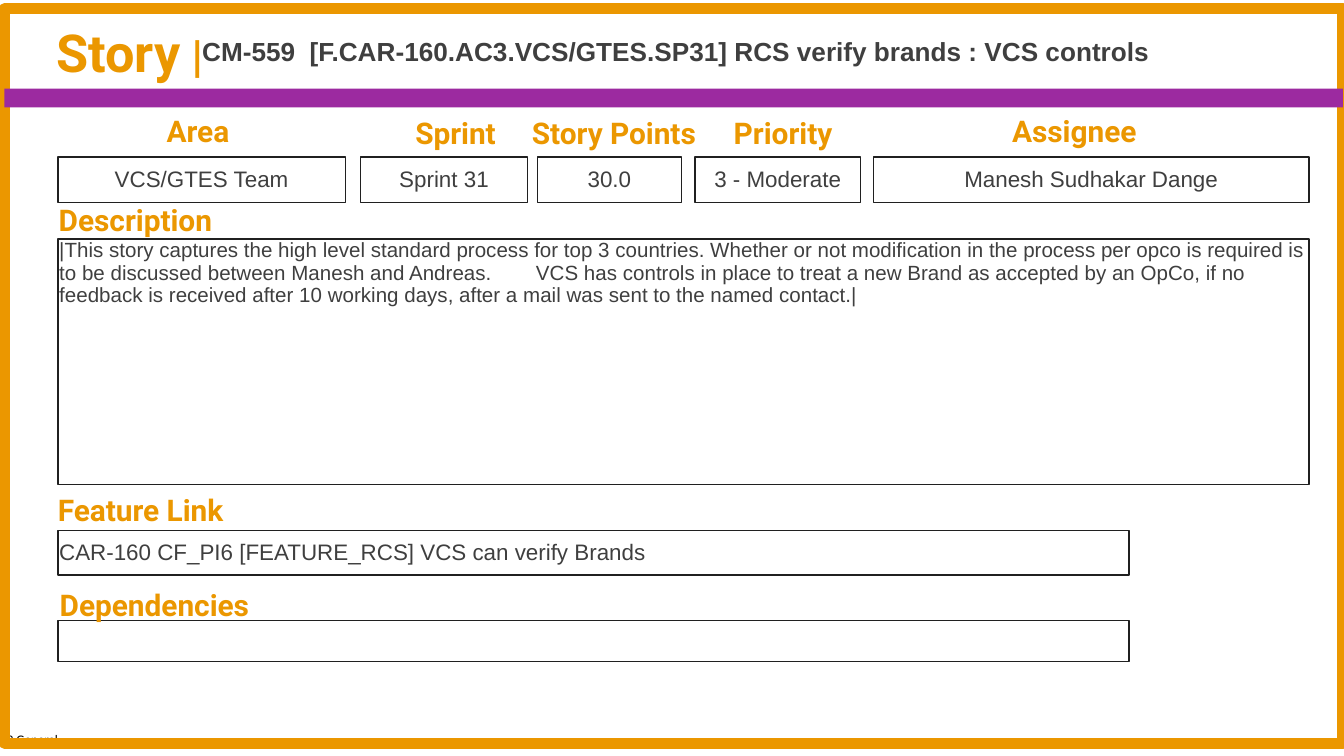
from typing import NamedTuple

from lxml.etree import SubElement
from pptx import Presentation
from pptx.dml.color import RGBColor
from pptx.enum.shapes import MSO_SHAPE
from pptx.enum.text import MSO_ANCHOR, MSO_AUTO_SIZE, PP_ALIGN
from pptx.oxml.ns import qn
from pptx.util import Pt

ORANGE, PURPLE, INK, BORDER = "EB9700", "9C2AA0", "3F3F3F", "202020"
LEFT = 31
FIELD_TOP, FIELD_H = 84.2, 24.5
LABEL_W, LABEL_H = 114, 11.5

HEADING = {"name": "Roboto", "size": Pt(16), "bold": True, "color": ORANGE}
BODY = {"name": "Arial", "size": Pt(12), "color": INK}


class Box(NamedTuple):
    left: float
    top: float
    width: float
    height: float


class Label(NamedTuple):
    text: str
    left: float
    top: float


class Field(NamedTuple):
    text: str
    box: Box
    align: PP_ALIGN = PP_ALIGN.CENTER
    anchor: MSO_ANCHOR = MSO_ANCHOR.MIDDLE
    size: float = 12
    tab: float = 0


LABELS = [
    Label("Area", 89.3, 60.5),
    Label("Sprint", 222.5, 61.2),
    Label("Story Points", 285, 61.2),
    Label("Priority", 393.1, 61.6),
    Label("Assignee", 542.2, 60.5),
    Label("Description", 31.5, 108),
    Label("Feature Link", LEFT, 263.5),
    Label("Dependencies", 32, 314.5),
]

DESCRIPTION = (
    "|This story captures the high level standard process for top 3 countries. "
    "Whether or not modification in the process per opco is required is to be "
    "discussed between Manesh and Andreas.\tVCS has controls in place to treat "
    "a new Brand as accepted by an OpCo, if no feedback is received after 10 "
    "working days, after a mail was sent to the named contact.|"
)

TOP_ROW = [
    ("VCS/GTES Team", LEFT, 154),
    ("Sprint 31", 193, 89.8),
    ("30.0", 288, 77),
    ("3 - Moderate", 372.4, 88.6),
    ("Manesh Sudhakar Dange", 468, 233.3),
]
FIELDS = [Field(text, Box(left, FIELD_TOP, width, FIELD_H))
          for text, left, width in TOP_ROW] + [
    Field(DESCRIPTION, Box(LEFT, 128, 670.3, 131.7), PP_ALIGN.LEFT,
          MSO_ANCHOR.TOP, 11, 255.4),
    Field("CAR-160 CF_PI6 [FEATURE_RCS] VCS can verify Brands",
          Box(LEFT, 284.3, 573.8, 23.8), PP_ALIGN.LEFT),
    Field("", Box(LEFT, 332.5, 573.8, 21.8)),
]


def rgb(value: str) -> RGBColor:
    return RGBColor.from_string(value)


def format_font(font, style: dict) -> None:
    for name, value in style.items():
        if name == "color":
            font.color.rgb = rgb(value)
        else:
            setattr(font, name, value)


def set_frame(tf, inset: float, anchor: MSO_ANCHOR) -> None:
    for side in ("left", "top", "right", "bottom"):
        setattr(tf, f"margin_{side}", Pt(inset))
    tf.word_wrap = True
    tf.vertical_anchor = anchor


def add_text(s, text: str, box: Box, style: dict,
             anchor: MSO_ANCHOR = MSO_ANCHOR.TOP, spacing: float = 1) -> None:
    tf = s.shapes.add_textbox(*map(Pt, box)).text_frame
    set_frame(tf, 0, anchor)
    p = tf.paragraphs[0]
    p.line_spacing = spacing
    r = p.add_run()
    r.text = text
    format_font(r.font, style)


def add_rect(s, box: Box, fill: str = "", line: str = "", weight: float = 0.75):
    sp = s.shapes.add_shape(MSO_SHAPE.RECTANGLE, *map(Pt, box))
    sp.shadow.inherit = False
    if fill:
        sp.fill.solid()
        sp.fill.fore_color.rgb = rgb(fill)
    else:
        sp.fill.background()
    if line:
        sp.line.color.rgb = rgb(line)
        sp.line.width = Pt(weight)
    else:
        sp.line.fill.background()
    return sp


def add_field(s, field: Field) -> None:
    sp = add_rect(s, field.box, line=BORDER)
    if not field.text:
        return
    set_frame(sp.text_frame, 0.7, field.anchor)
    p = sp.text_frame.paragraphs[0]
    p.alignment = field.align
    p.line_spacing = 0.9
    if field.tab:
        tabs = SubElement(p._p.get_or_add_pPr(), qn("a:tabLst"))
        SubElement(tabs, qn("a:tab"), pos=str(Pt(field.tab)), algn="l")
    r = p.add_run()
    r.text = field.text
    format_font(r.font, BODY | {"size": Pt(field.size)})


def set_title(s) -> None:
    title = s.shapes.title
    place = dict(zip(("left", "top", "width", "height"), (23, 13.7, 129, 21)))
    for name, value in place.items():
        setattr(title, name, Pt(value))
    tf = title.text_frame
    tf.auto_size = MSO_AUTO_SIZE.NONE
    tf.vertical_anchor = MSO_ANCHOR.TOP
    p = tf.paragraphs[0]
    p.alignment = PP_ALIGN.LEFT
    p.line_spacing = 0.8
    for text, size in (("Story", 28), (" |", 24)):
        r = p.add_run()
        r.text = text
        format_font(r.font, HEADING | {"size": Pt(size)})


def main() -> None:
    prs = Presentation()
    prs.slide_width, prs.slide_height = Pt(720), Pt(405)
    s = prs.slides.add_slide(prs.slide_layouts[5])

    set_title(s)
    add_text(s, "C2 General", Box(0, 388, 49, 16.5),
             {"name": "Calibri", "size": Pt(7), "color": "000000"},
             MSO_ANCHOR.MIDDLE)
    add_text(s, "CM-559  [F.CAR-160.AC3.VCS/GTES.SP31] RCS verify brands : VCS controls",
             Box(108.3, 10, 605, 37.5), BODY | {"size": Pt(14), "bold": True},
             MSO_ANCHOR.MIDDLE, 0.8)
    for field in FIELDS:
        add_field(s, field)
    for label in LABELS:
        add_text(s, label.text, Box(label.left, label.top, LABEL_W, LABEL_H), HEADING)
    add_rect(s, Box(2.4, 4.8, 717, 393.4), line=ORANGE, weight=6)
    add_rect(s, Box(2.4, 47.5, 717, 10), fill=PURPLE)
    prs.save("out.pptx")


if __name__ == "__main__":
    main()
